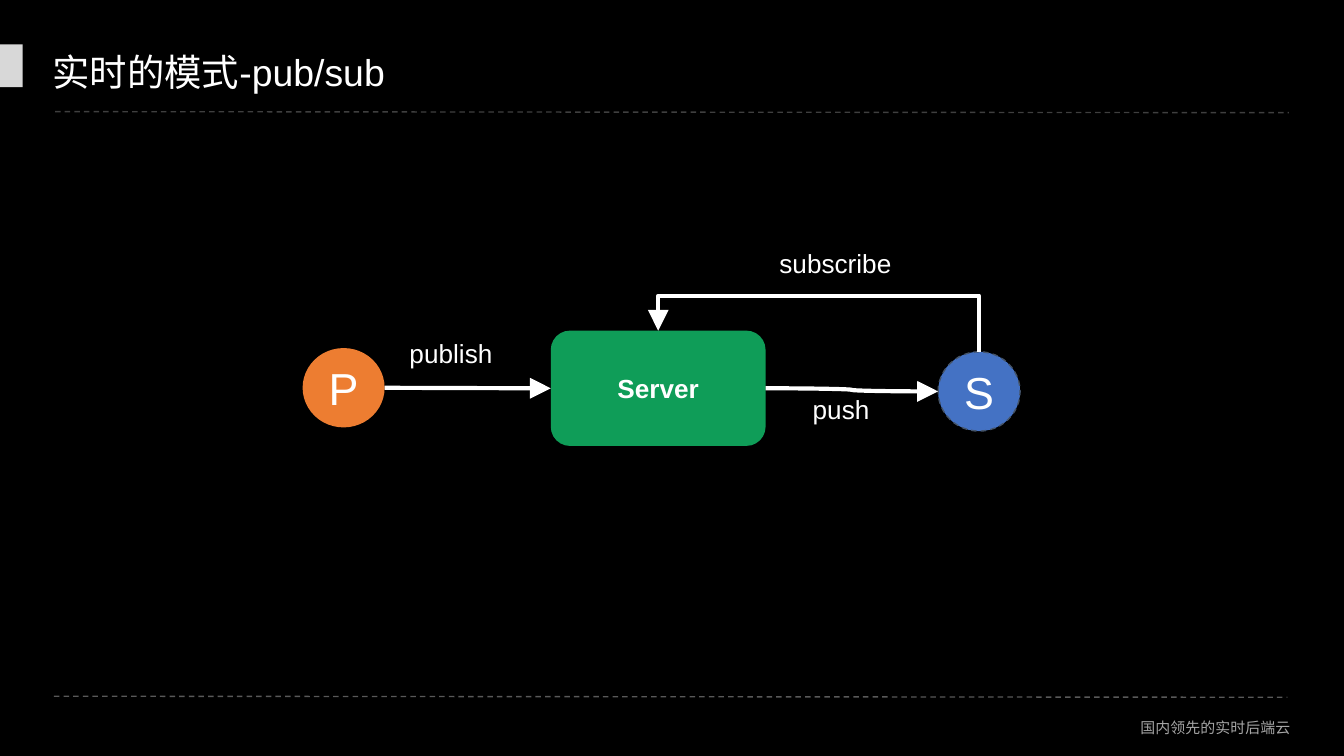
from dataclasses import dataclass
from typing import Optional

import lxml.etree
import pptx
import pptx.dml.color
import pptx.enum.dml
import pptx.enum.shapes
import pptx.enum.text
import pptx.oxml
import pptx.oxml.ns
import pptx.util

Cm = pptx.util.Cm
qn = pptx.oxml.ns.qn
SHAPE = pptx.enum.shapes.MSO_SHAPE
LINK = pptx.enum.shapes.MSO_CONNECTOR
ALIGN = pptx.enum.text.PP_ALIGN
ANCHOR = pptx.enum.text.MSO_ANCHOR


@dataclass(frozen=True)
class Theme:
    font: str = "Arial"
    background: str = "000000"
    text: str = "FFFFFF"
    footer: str = "A5A5A5"
    accent: str = "D8D8D8"
    top_rule: str = "3F3F3F"
    bottom_rule: str = "595959"
    server: str = "0F9D58"
    publisher: str = "ED7D31"
    subscriber: str = "4472C4"
    outline: str = "44546A"
    title_pt: float = 20
    label_pt: float = 14
    node_pt: float = 24
    footer_pt: float = 8
    rule_pt: float = 0.75
    arrow_pt: float = 2.25


THEME = Theme()


@dataclass(frozen=True)
class Box:
    left: float
    top: float
    width: float
    height: float

    @property
    def right(self) -> float:
        return self.left + self.width

    @property
    def mid_x(self) -> float:
        return self.left + self.width / 2

    @property
    def mid_y(self) -> float:
        return self.top + self.height / 2

    def lengths(self) -> list:
        return [Cm(v) for v in (self.left, self.top, self.width, self.height)]


@dataclass(frozen=True)
class Label:
    text: str
    box: Box
    size: float = THEME.label_pt
    color: str = THEME.text
    align: ALIGN = ALIGN.LEFT
    anchor: ANCHOR = ANCHOR.TOP
    inset_y: float = 0.25


@dataclass(frozen=True)
class Node:
    text: str
    box: Box
    shape: SHAPE
    fill: str
    size: float = THEME.node_pt
    bold: bool = False
    outline: Optional[str] = None


@dataclass(frozen=True)
class Rule:
    start: tuple
    end: tuple
    color: str


def rgb(value: str) -> pptx.dml.color.RGBColor:
    return pptx.dml.color.RGBColor.from_string(value)


def style_line(line, color: str, width: float, dashed: bool = False) -> None:
    line.color.rgb = rgb(color)
    line.width = pptx.util.Pt(width)
    if dashed:
        line.dash_style = pptx.enum.dml.MSO_LINE.DASH


def write(sp, text: str, size: float, color: str, align: ALIGN,
          anchor: ANCHOR, inset_y: float = 0.25, bold: bool = False) -> None:
    tf = sp.text_frame
    tf.word_wrap = True
    tf.vertical_anchor = anchor
    tf.margin_left = tf.margin_right = Cm(0.25)
    tf.margin_top = tf.margin_bottom = Cm(inset_y)
    tf.text = text
    p = tf.paragraphs[0]
    p.alignment = align
    r = p.runs[0]
    r.font.name = THEME.font
    r.font.size = pptx.util.Pt(size)
    r.font.bold = bold
    r.font.color.rgb = rgb(color)


def draw_label(s, label: Label) -> None:
    sp = s.shapes.add_textbox(*label.box.lengths())
    write(sp, label.text, label.size, label.color, label.align,
          label.anchor, label.inset_y)


def draw_node(s, node: Node) -> None:
    sp = s.shapes.add_shape(node.shape, *node.box.lengths())
    sp.shadow.inherit = False
    sp.fill.solid()
    sp.fill.fore_color.rgb = rgb(node.fill)
    if node.outline:
        style_line(sp.line, node.outline, THEME.rule_pt, dashed=True)
    else:
        sp.line.fill.background()
    if node.text:
        write(sp, node.text, node.size, THEME.text, ALIGN.CENTER,
              ANCHOR.MIDDLE, bold=node.bold)


def draw_link(s, kind: LINK, start: tuple, end: tuple, color: str,
              width: float, dashed: bool = False):
    c = s.shapes.add_connector(kind, *(Cm(v) for v in start + end))
    style_line(c.line, color, width, dashed)
    lxml.etree.SubElement(c._element.spPr, qn("a:effectLst"))
    return c


def draw_arrow(s, kind: LINK, start: tuple, end: tuple):
    c = draw_link(s, kind, start, end, THEME.text, THEME.arrow_pt)
    lxml.etree.SubElement(c.line._get_or_add_ln(), qn("a:tailEnd"),
                          type="triangle", w="lg", len="lg")
    return c


def draw_loop(s, start: tuple, end: tuple, crest: float) -> None:
    mid_x, mid_y = (start[0] + end[0]) / 2, (start[1] + end[1]) / 2
    half_w, half_h = (start[1] - end[1]) / 2, (start[0] - end[0]) / 2
    c = draw_arrow(s, LINK.ELBOW, (mid_x + half_w, mid_y - half_h),
                   (mid_x - half_w, mid_y + half_h))
    spPr = c._element.spPr
    spPr.find(qn("a:xfrm")).set("rot", str(90 * 60000))
    bend = (start[1] - crest) / (start[1] - end[1])
    av = spPr.find(qn("a:prstGeom")).find(qn("a:avLst"))
    lxml.etree.SubElement(av, qn("a:gd"), name="adj1",
                          fmla=f"val {round(bend * 100000)}")


def main() -> None:
    prs = pptx.Presentation()
    prs.slide_width, prs.slide_height = Cm(25.4), Cm(14.29)
    s = prs.slides.add_slide(prs.slide_layouts[6])
    s.background.fill.solid()
    s.background.fill.fore_color.rgb = rgb(THEME.background)

    server = Node("Server", Box(10.41, 6.25, 4.06, 2.18),
                  SHAPE.ROUNDED_RECTANGLE, THEME.server, THEME.label_pt, True)
    publisher = Node("P", Box(5.72, 6.58, 1.55, 1.5), SHAPE.OVAL,
                     THEME.publisher)
    subscriber = Node("S", Box(17.73, 6.65, 1.55, 1.5), SHAPE.OVAL,
                      THEME.subscriber, outline=THEME.outline)
    accent = Node("", Box(-0.03, 0.84, 0.46, 0.81), SHAPE.RECTANGLE,
                  THEME.accent)
    rules = (Rule((1.02, 13.16), (24.33, 13.18), THEME.bottom_rule),
             Rule((1.04, 2.11), (24.36, 2.13), THEME.top_rule))
    labels = (
        Label("国内领先的实时后端云", Box(16.18, 13.46, 8.46, 0.58),
              THEME.footer_pt, THEME.footer, ALIGN.RIGHT, inset_y=0.13),
        Label("实时的模式-pub/sub", Box(0.74, 0.46, 21.67, 1.78),
              THEME.title_pt, anchor=ANCHOR.MIDDLE),
        Label("publish", Box(7.49, 6.12, 2.18, 1.07)),
        Label("push", Box(15.11, 7.19, 2.18, 1.07)),
        Label("subscribe", Box(14.48, 4.42, 3, 1.07)),
    )

    for rule in rules:
        draw_link(s, LINK.STRAIGHT, rule.start, rule.end, rule.color,
                  THEME.rule_pt, dashed=True)
    for node in (accent, server, publisher, subscriber):
        draw_node(s, node)

    hub, source, sink = server.box, publisher.box, subscriber.box
    draw_arrow(s, LINK.CURVE, (hub.right, hub.mid_y), (sink.left, sink.mid_y))
    draw_arrow(s, LINK.STRAIGHT, (source.right, source.mid_y),
               (hub.left, hub.mid_y))
    draw_loop(s, (sink.mid_x, sink.top), (hub.mid_x, hub.top), crest=5.59)

    for label in labels:
        draw_label(s, label)
    prs.save("out.pptx")


if __name__ == "__main__":
    main()
